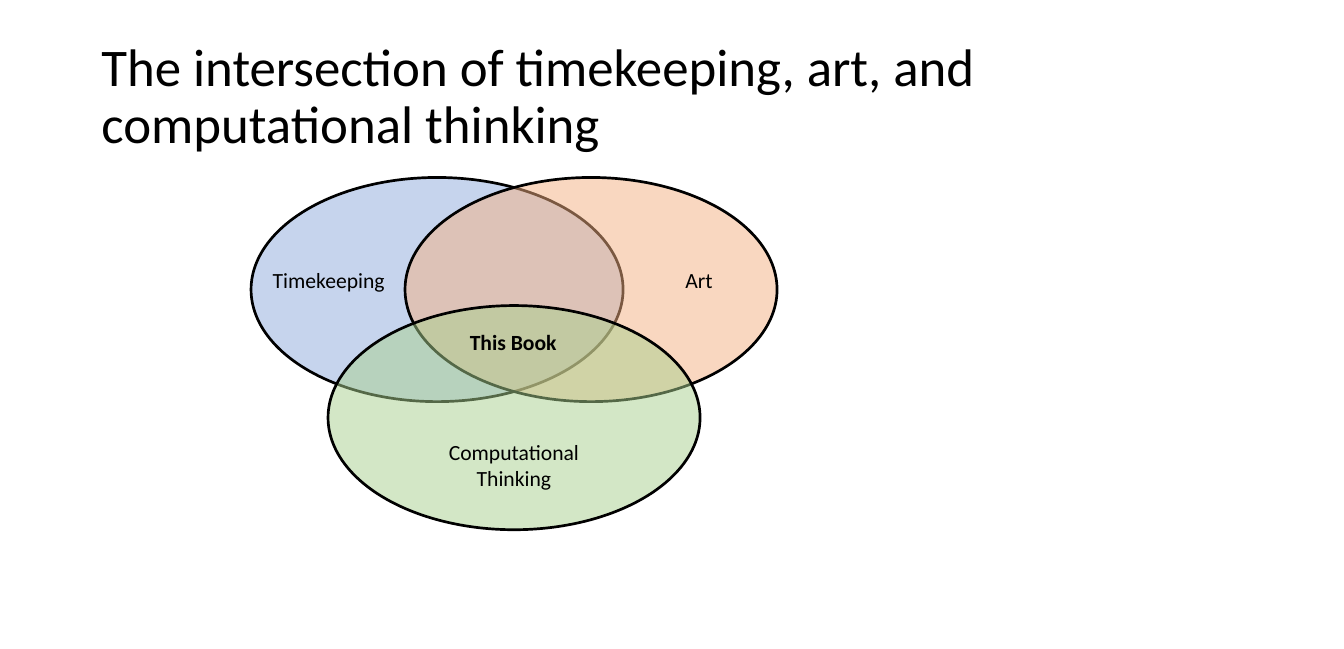
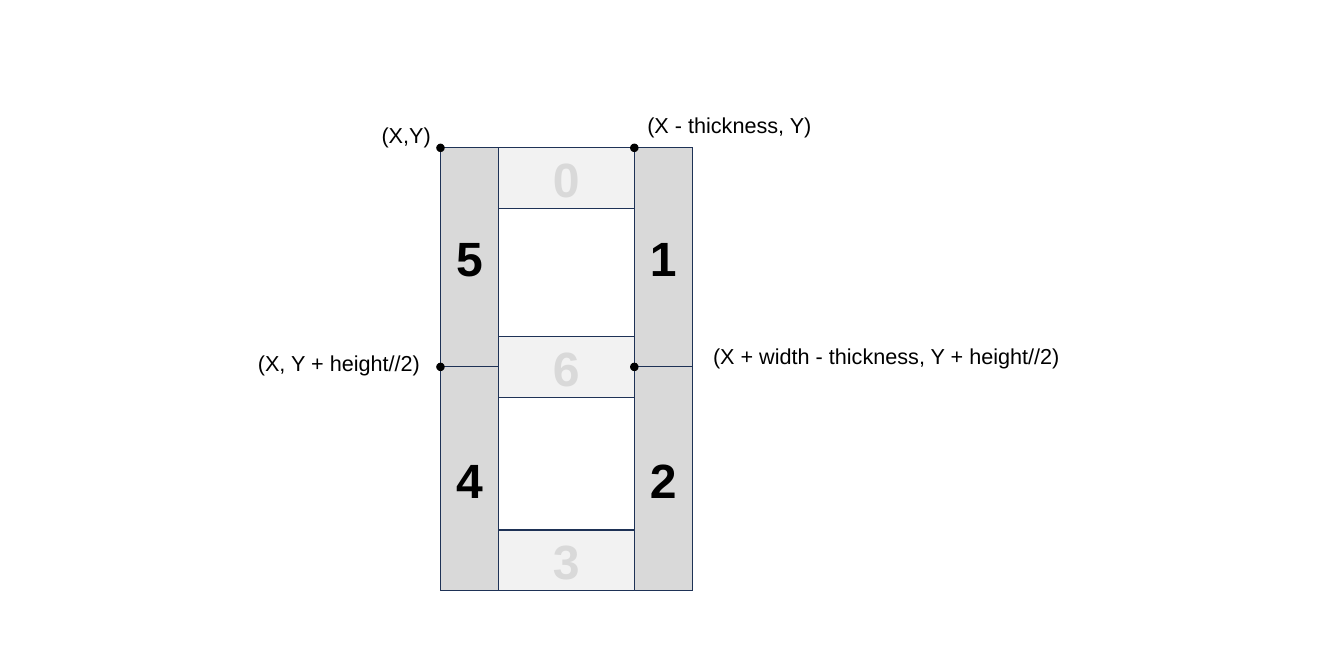
"""Build a Venn diagram slide and a seven-segment digit geometry slide."""
from dataclasses import dataclass

from lxml import etree
from pptx import Presentation
from pptx.dml.color import RGBColor
from pptx.enum.shapes import MSO_SHAPE
from pptx.enum.text import MSO_ANCHOR, MSO_AUTO_SIZE, PP_ALIGN
from pptx.oxml.ns import qn
from pptx.presentation import Presentation as Deck
from pptx.shapes.autoshape import Shape
from pptx.slide import Slide
from pptx.text.text import TextFrame
from pptx.util import Cm, Pt

OVAL, RECTANGLE = MSO_SHAPE.OVAL, MSO_SHAPE.RECTANGLE
LEFT, CENTER = PP_ALIGN.LEFT, PP_ALIGN.CENTER
MIDDLE = MSO_ANCHOR.MIDDLE
FIXED, GROW = MSO_AUTO_SIZE.NONE, MSO_AUTO_SIZE.SHAPE_TO_FIT_TEXT
TITLE_ONLY_LAYOUT, BLANK_LAYOUT = 5, 6


@dataclass(frozen=True)
class Theme:
    ink: str = "000000"
    timekeeping: str = "8FAADC"
    art: str = "F4B183"
    computing: str = "A9D18E"
    segment_line: str = "1E3256"
    active_fill: str = "D9D9D9"
    idle_fill: str = "F2F2F2"
    idle_text: str = "D9D9D9"
    title_font: str = "Calibri"
    diagram_font: str = "Arial"
    title_size: float = 44
    digit_size: float = 40
    label_size: float = 18
    circle_line: float = 2.25
    segment_line_width: float = 1
    circle_opacity: int = 50


THEME = Theme()


@dataclass(frozen=True)
class Box:
    left: float
    top: float
    width: float
    height: float

    def lengths(self) -> tuple[Cm, Cm, Cm, Cm]:
        return Cm(self.left), Cm(self.top), Cm(self.width), Cm(self.height)


@dataclass(frozen=True)
class Label:
    text: str
    box: Box
    bold: bool = False


@dataclass(frozen=True)
class Circle:
    left: float
    top: float
    color: str


@dataclass(frozen=True)
class Segment:
    digit: str
    box: Box
    active: bool


CIRCLE_WIDTH, CIRCLE_HEIGHT = 10.92, 6.58
VENN_LEFT, VENN_TOP = 7.37, 5.21
HALF_STEP, DROP = 2.26, 3.76
CIRCLES = [
    Circle(VENN_LEFT, VENN_TOP, THEME.timekeeping),
    Circle(VENN_LEFT + 2 * HALF_STEP, VENN_TOP, THEME.art),
    Circle(VENN_LEFT + HALF_STEP, VENN_TOP + DROP, THEME.computing),
]
LABEL_HEIGHT = 1.02
VENN_LABELS = [
    Label("This Book", Box(13.53, 9.53, 3.07, LABEL_HEIGHT), bold=True),
    Label("Timekeeping", Box(7.73, 7.72, 3.84, LABEL_HEIGHT)),
    Label("Art", Box(19.86, 7.72, 1.32, LABEL_HEIGHT)),
    Label("Computational\nThinking", Box(12.89, 12.75, 4.39, 1.8)),
]

DIGIT_LEFT, DIGIT_TOP = 12.93, 4.34
DIGIT_WIDTH, DIGIT_HEIGHT = 7.39, 13.0
THICKNESS, BAR_HEIGHT = 1.7, 1.78
UPPER_HEIGHT = 6.43
MIDDLE_Y = DIGIT_TOP + UPPER_HEIGHT
RIGHT_X = DIGIT_LEFT + DIGIT_WIDTH - THICKNESS
LOWER_HEIGHT = DIGIT_HEIGHT - UPPER_HEIGHT
DOT_SIZE = 0.25


def bar(digit: str, top: float) -> Segment:
    """Describe an idle horizontal segment."""
    return Segment(digit, Box(DIGIT_LEFT, top, DIGIT_WIDTH, BAR_HEIGHT), False)


def post(digit: str, left: float, top: float, height: float) -> Segment:
    """Describe an active vertical segment."""
    return Segment(digit, Box(left, top, THICKNESS, height), True)


SEGMENTS = [
    bar("0", DIGIT_TOP),
    bar("3", DIGIT_TOP + DIGIT_HEIGHT - BAR_HEIGHT),
    bar("6", MIDDLE_Y - BAR_HEIGHT / 2),
    post("1", RIGHT_X, DIGIT_TOP, UPPER_HEIGHT),
    post("2", RIGHT_X, MIDDLE_Y, LOWER_HEIGHT),
    post("5", DIGIT_LEFT, DIGIT_TOP, UPPER_HEIGHT),
    post("4", DIGIT_LEFT, MIDDLE_Y, LOWER_HEIGHT),
]
COORDINATE_LABELS = [
    Label("(X - thickness, Y)", Box(18.75, 3.17, 5.38, LABEL_HEIGHT)),
    Label("(X,Y)", Box(10.95, 3.45, 1.98, LABEL_HEIGHT)),
    Label("(X + width - thickness, Y + height//2)",
          Box(20.68, 9.93, 10.8, LABEL_HEIGHT)),
    Label("(X, Y + height//2)", Box(7.32, 10.16, 5.31, LABEL_HEIGHT)),
]


def write(frame: TextFrame, text: str, font: str, size: float,
          color: str = THEME.ink, bold: bool = False,
          align: PP_ALIGN = CENTER) -> None:
    """Fill a text frame with uniformly styled paragraphs."""
    frame.text = text
    for paragraph in frame.paragraphs:
        paragraph.alignment = align
        paragraph.font.name = font
        paragraph.font.size = Pt(size)
        paragraph.font.bold = bold
        paragraph.font.color.rgb = RGBColor.from_string(color)


def draw_shape(slide: Slide, kind: MSO_SHAPE, box: Box, fill: str,
               line: str = "", line_width: float = 0) -> Shape:
    """Draw a filled preset shape, outlined only when a line colour is given."""
    shape = slide.shapes.add_shape(kind, *box.lengths())
    shape.shadow.inherit = False
    shape.fill.solid()
    shape.fill.fore_color.rgb = RGBColor.from_string(fill)
    if line:
        shape.line.color.rgb = RGBColor.from_string(line)
        shape.line.width = Pt(line_width)
    else:
        shape.line.fill.background()
    return shape


def set_opacity(shape: Shape, percent: int) -> None:
    """Make the solid fill of a shape translucent."""
    color = shape.element.spPr.find(qn("a:solidFill"))[0]
    etree.SubElement(color, qn("a:alpha"), val=str(percent * 1000))


def draw_label(slide: Slide, label: Label, font: str, align: PP_ALIGN) -> None:
    """Draw an unwrapped text label."""
    frame = slide.shapes.add_textbox(*label.box.lengths()).text_frame
    frame.word_wrap = False
    frame.auto_size = GROW
    write(frame, label.text, font, THEME.label_size, bold=label.bold, align=align)


def draw_title(slide: Slide, text: str) -> None:
    """Place and format the title placeholder."""
    title = slide.shapes.title
    title.left, title.top, title.width, title.height = Box(
        2.72, 1.02, 35.6, 3.68).lengths()
    frame = title.text_frame
    frame.auto_size = FIXED
    frame.vertical_anchor = MIDDLE
    write(frame, text, THEME.title_font, THEME.title_size, align=LEFT)
    frame.paragraphs[0].line_spacing = 0.9


def draw_segment(slide: Slide, segment: Segment) -> None:
    """Draw one numbered segment of the digit."""
    fill = THEME.active_fill if segment.active else THEME.idle_fill
    color = THEME.ink if segment.active else THEME.idle_text
    shape = draw_shape(slide, RECTANGLE, segment.box, fill,
                       THEME.segment_line, THEME.segment_line_width)
    shape.text_frame.vertical_anchor = MIDDLE
    write(shape.text_frame, segment.digit, THEME.diagram_font,
          THEME.digit_size, color, bold=True)


def build_venn_slide(deck: Deck) -> None:
    """Add the slide with three overlapping subjects."""
    slide = deck.slides.add_slide(deck.slide_layouts[TITLE_ONLY_LAYOUT])
    draw_title(slide, "The intersection of timekeeping, art, and computational thinking")
    for circle in CIRCLES:
        box = Box(circle.left, circle.top, CIRCLE_WIDTH, CIRCLE_HEIGHT)
        subject = draw_shape(slide, OVAL, box, circle.color,
                             THEME.ink, THEME.circle_line)
        set_opacity(subject, THEME.circle_opacity)
    for label in VENN_LABELS:
        draw_label(slide, label, THEME.title_font, CENTER)


def build_digit_slide(deck: Deck) -> None:
    """Add the slide with segment origins and their coordinates."""
    slide = deck.slides.add_slide(deck.slide_layouts[BLANK_LAYOUT])
    for segment in SEGMENTS:
        draw_segment(slide, segment)
    for origin_x in (DIGIT_LEFT, RIGHT_X):
        for origin_y in (DIGIT_TOP, MIDDLE_Y):
            dot = Box(origin_x - DOT_SIZE / 2, origin_y - DOT_SIZE / 2,
                      DOT_SIZE, DOT_SIZE)
            draw_shape(slide, OVAL, dot, THEME.ink)
    for label in COORDINATE_LABELS:
        draw_label(slide, label, THEME.diagram_font, LEFT)


def main() -> None:
    """Build and save the presentation."""
    deck = Presentation()
    deck.slide_width, deck.slide_height = Cm(39.45), Cm(19.05)
    build_venn_slide(deck)
    build_digit_slide(deck)
    deck.save("out.pptx")


if __name__ == "__main__":
    main()
